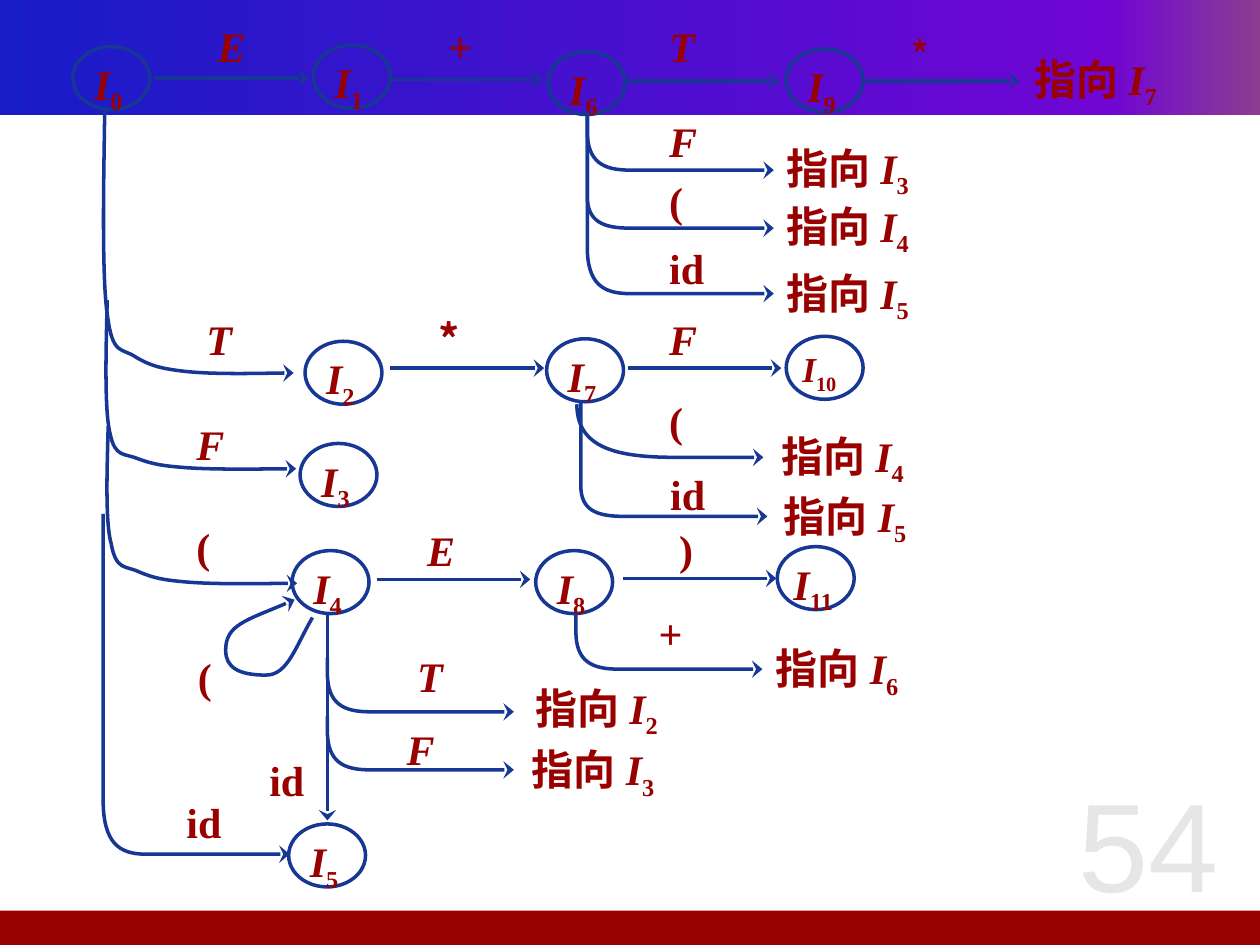
import pptx
import pptx.dml.color
import pptx.enum.shapes
import pptx.enum.text
import pptx.oxml.ns
import pptx.util
from lxml import etree

Cm, Pt = pptx.util.Cm, pptx.util.Pt
qn = pptx.oxml.ns.qn
SHAPE = pptx.enum.shapes.MSO_SHAPE
STRAIGHT = pptx.enum.shapes.MSO_CONNECTOR.STRAIGHT
ALIGN = pptx.enum.text.PP_ALIGN
ANCHOR = pptx.enum.text.MSO_ANCHOR

RED, BLUE, GREY = "990000", "163794", "E6E6E6"
SERIF, SANS, HAN = "Times New Roman", "Arial", "Noto Sans CJK SC"
STOPS = [(0, "0A128C"), (0, "181CC7"), (88, "7005D4"), (100, "8C3D91")]

# All lengths are in cm.
# States: left, top, number
STATES = [
    (1.47, 0.94, "0"), (6.32, 0.91, "1"), (11.05, 1.04, "6"), (15.85, 0.99, "9"),
    (6.15, 6.88, "2"), (11.02, 6.83, "7"), (15.85, 6.78, "10"),
    (6.05, 8.94, "3"),
    (5.89, 11.1, "4"), (10.8, 11.1, "8"), (15.67, 11.02, "11"),
    (5.82, 16.61, "5"),
]

# Jumps to a state drawn elsewhere: left, top, number
JUMPS = [
    (20.7, 0.99, "7"), (15.7, 2.79, "3"), (15.7, 3.96, "4"), (15.7, 5.31, "5"),
    (15.6, 8.59, "4"), (15.65, 9.8, "5"), (15.49, 12.88, "6"),
    (10.64, 13.67, "2"), (10.57, 14.91, "3"),
]

# Where each grammar symbol stands on the edges: left, top
SYMBOLS = {
    "E": [(4.24, 0.33), (8.46, 10.49)],
    "T": [(13.34, 0.33), (4.01, 6.25), (8.26, 13.03)],
    "F": [(13.34, 2.24), (13.34, 6.25), (3.81, 8.36), (8.05, 14.5)],
    "+": [(8.89, 0.33), (13.13, 12.17)],
    "*": [(18.21, 0.53), (8.69, 6.25)],
    "(": [(13.34, 3.51), (13.34, 7.95), (3.81, 10.49), (3.84, 13.11)],
    ")": [(13.54, 10.52)],
    "id": [(13.34, 4.8), (13.36, 9.37), (5.28, 15.14), (3.61, 15.98)],
}
THIN = ("*", 18.21)  # the one symbol that is not bold

# Level arrows, all of one length: start x, y
REACH = 3.1
LEVELS = [
    (3.12, 1.57), (7.82, 1.6), (12.6, 1.63), (17.45, 1.63),
    (7.87, 7.42), (12.65, 7.42), (7.59, 11.68), (12.55, 11.66),
]

# Branches go down, bend once and run right: x, top, low, rise and width of bend
RUN = 3.76
BRANCHES = [
    (11.84, 2.34, 5.92, 0.94, 0.86), (11.84, 2.24, 4.6, 0.64, 0.86),
    (11.84, 2.34, 3.43, 0.79, 0.86), (11.71, 8.08, 10.41, 0.61, 0.86),
    (11.63, 8.15, 9.22, 1.07, 1.97), (2.08, 10.36, 17.22, 1.1, 0.86),
    (11.61, 12.4, 13.49, 0.76, 0.86), (6.6, 13.26, 14.35, 0.79, 0.86),
    (6.6, 14.43, 15.52, 0.79, 0.86),
]

# Swoops from I0 share one wavy bend: x, top, low, rise of bend
SWOOPS = [(2.11, 2.24, 7.52, 1.14), (2.16, 6.05, 9.45, 0.71), (2.18, 8.59, 11.76, 0.81)]
# The bend: offset right in cm, height above the low end as a share of the rise
WAVE = [
    (0.06, 1), (0.16, 0.3), (0.35, 0.45), (0.63, 0.28),
    (0.9, 0.14), (1.1, 0.08), (1.6, 0.03), (2.2, -0.03), (3.4, 0), (3.81, 0),
]

# The loop of I4 on itself: start, then two controls and an end per piece
LOOP = [
    (6.3, 12.45), (5.95, 13.05), (5.8, 13.61), (5.36, 13.61),
    (4.8, 13.61), (4.55, 13.45), (4.55, 13.11),
    (4.55, 12.6), (5, 12.5), (5.94, 12.09),
]

deck = pptx.Presentation()
deck.slide_width, deck.slide_height = Cm(25.4), Cm(19.05)
slide = deck.slides.add_slide(deck.slide_layouts[6])
shapes = slide.shapes


def paint(color, code):
    color.rgb = pptx.dml.color.RGBColor.from_string(code)


def write(shape, *runs, size=24, font=SERIF, color=RED, bold=True,
          align=ALIGN.JUSTIFY, anchor=ANCHOR.TOP, pad=(0.15, 0.08, 0.15, 0.08)):
    """Fill a shape with (text, style) runs: "i" is italic, "s" is subscript."""
    frame = shape.text_frame
    frame.word_wrap, frame.vertical_anchor = True, anchor
    (frame.margin_left, frame.margin_top,
     frame.margin_right, frame.margin_bottom) = map(Cm, pad)
    para = frame.paragraphs[0]
    para.alignment = align
    for text, style in runs:
        run = para.add_run()
        run.text = text
        face = run.font
        face.size, face.name, face.bold = Pt(size), font, bold
        face.italic = style == "i"
        paint(face.color, color)
    for (_, style), props in zip(runs, shape.element.iter(qn("a:rPr"))):
        etree.SubElement(props, qn("a:ea"), typeface=HAN)
        if style == "s":
            props.set("baseline", "-25000")


def box(x, y, wide, high):
    return shapes.add_textbox(Cm(x), Cm(y), Cm(wide), Cm(high))


def form(kind, x, y, wide, high):
    shape = shapes.add_shape(kind, Cm(x), Cm(y), Cm(wide), Cm(high))
    shape.shadow.inherit = False
    return shape


def stroke(shape, arrow=True):
    shape.line.width = Pt(2)
    shape.line.fill.solid()
    paint(shape.line.color, BLUE)
    if arrow:
        pen = next(shape.element.iter(qn("a:ln")))
        etree.SubElement(pen, qn("a:tailEnd"), type="stealth", w="lg")


def link(x1, y1, x2, y2):
    line = shapes.add_connector(STRAIGHT, Cm(x1), Cm(y1), Cm(x2), Cm(y2))
    stroke(line)
    etree.SubElement(line.element.spPr, qn("a:effectLst"))


def curve(points):
    """Draw an arrow of cubic pieces: a start, then three points per piece."""
    first, *rest = [(Cm(x), Cm(y)) for x, y in points]
    maker = shapes.build_freeform(*first)
    maker.add_line_segments(rest, close=False)
    shape = maker.convert_to_shape()
    shape.shadow.inherit = False
    shape.fill.background()
    stroke(shape)
    track = next(shape.element.iter(qn("a:path")))
    steps = track.findall(qn("a:lnTo"))
    for i in range(0, len(steps), 3):
        cubic = etree.SubElement(track, qn("a:cubicBezTo"))
        for step in steps[i:i + 3]:
            cubic.append(step[0])
            track.remove(step)


def branch(x, top, low, rise, wide):
    start, turn = (x, top), (x, low - rise)
    flat, end = (x + wide, low), (x + RUN, low)
    curve([start, start, turn, turn,
           (x, low - 0.2 * rise), (x + 0.38 * wide, low), flat, flat, end, end])


def swoop(x, top, low, rise):
    drop = low - rise - top
    fall = [(x, top), (x, top + 0.16 * drop), (x - 0.08, top + 0.8 * drop)]
    curve(fall + [(x + right, low - part * rise) for right, part in WAVE])


band = form(SHAPE.RECTANGLE, 0, 0, 25.4, 2.32)
band.fill.gradient()
band.fill.gradient_angle = 0
ramp = next(band.element.iter(qn("a:gsLst")))
for old in list(ramp):
    ramp.remove(old)
for spot, code in STOPS:
    stop = etree.SubElement(ramp, qn("a:gs"), pos=str(spot * 1000))
    etree.SubElement(stop, qn("a:srgbClr"), val=code)
band.line.fill.background()

foot = form(SHAPE.RECTANGLE, -0.1, 18.36, 25.5, 0.69)
foot.fill.solid()
paint(foot.fill.fore_color, RED)
foot.line.fill.background()

write(box(20.9, 15.32, 4.5, 3.61), ("54", ""), size=72, font=SANS, color=GREY,
      bold=False, align=ALIGN.CENTER, anchor=ANCHOR.MIDDLE, pad=(0.25, 0.08, 0.25, 0.36))

for x, y, num in STATES:
    node = form(SHAPE.OVAL, x, y, 1.55, 1.27)
    node.fill.background()
    stroke(node, arrow=False)
    write(node, ("I", "i"), (num, "s"), size=20 if num == "10" else 24, align=ALIGN.LEFT,
          pad=(0.1 if len(num) > 1 else 0.2, 0.05, 0.05, 0.13))

for x, y in LEVELS:
    link(x, y, x + REACH, y)
link(6.6, 12.4, 6.6, 16.54)
for args in BRANCHES:
    branch(*args)
for args in SWOOPS:
    swoop(*args)
curve(LOOP)

for x, y, num in JUMPS:
    write(box(x, y, 3, 1.19), ("指向", ""), ("I", "i"), (num, "s"))
for sign, spots in SYMBOLS.items():
    style = "i" if sign.isupper() else ""
    inset = 0.03 if sign in "()" else 0.08
    for x, y in spots:
        write(box(x, y, 1.3, 1.02), (sign, style), font=HAN if sign == "*" else SERIF,
              bold=(sign, x) != THIN, pad=(0.15, inset, 0.15, 0.08))

deck.save("out.pptx")
